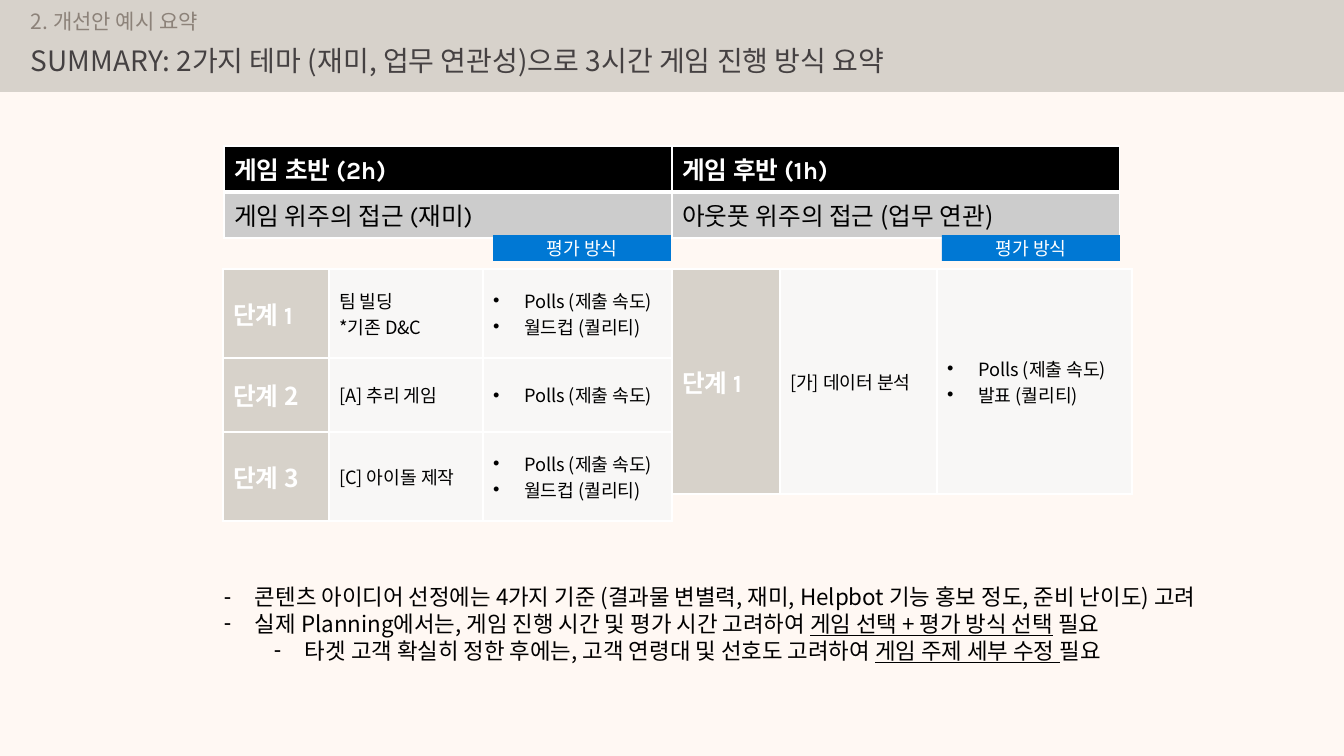
from lxml.etree import SubElement
from pptx import Presentation
from pptx.dml.color import RGBColor as Rgb
from pptx.enum.shapes import MSO_SHAPE as Shape
from pptx.enum.text import MSO_ANCHOR as Anchor, PP_ALIGN as Align
from pptx.oxml.ns import qn
from pptx.util import Pt

PX = 12192000 / 1344
KOREAN, LATIN = "Noto Sans CJK KR", "Karla"
COLORS = {
    "page": "FFF8F3", "band": "D7D2CB", "title": "454142", "section": "8C8279",
    "black": "000000", "white": "FFFFFF", "phase": "CCCCCC",
    "step": "D7D2CA", "cell": "F8F7F6", "tag": "0078D4",
}
IN_LATIN = {"name": LATIN}
UNDERLINED = {"underline": True}
SPEED = "Polls (제출 속도)"
WORLD_CUP = "월드컵 (퀄리티)"


def px(length):
    return round(length * PX)


def rgb(name):
    return Rgb.from_string(COLORS[name])


def paint(target, color):
    target.fill.solid()
    target.fill.fore_color.rgb = rgb(color)


def write(para, content, size, color, bold=False):
    """Content is plain text, or a list of (text, font settings)."""
    if isinstance(content, str):
        para.text = content
        settings = [{}] * len(para.runs)
    else:
        for text, _ in content:
            para.add_run().text = text
        settings = [setting for _, setting in content]
    for span, setting in zip(para.runs, settings):
        font = span.font
        font.size, font.bold = Pt(size), bold
        font.color.rgb = rgb(color)
        font.name = setting.get("name", KOREAN)
        font.underline = setting.get("underline")
        # No kerning; Hangul takes its font from the East Asian slot
        properties = span._r.get_or_add_rPr()
        properties.set("kern", "0")
        east_asian = SubElement(properties, qn("a:ea"), typeface=KOREAN)
        properties.find(qn("a:latin")).addnext(east_asian)


def add_bullet(para, mark, left=31):
    properties = para._p.get_or_add_pPr()
    properties.set("marL", str(px(left)))
    properties.set("indent", str(-px(31)))
    SubElement(properties, qn("a:buFont"), typeface="Arial")
    SubElement(properties, qn("a:buChar"), char=mark)


def add_paragraph(frame, index):
    return frame.add_paragraph() if index else frame.paragraphs[0]


def add_text_box(page, left, top, width, height):
    frame = page.shapes.add_textbox(px(left), px(top), px(width), px(height)).text_frame
    frame.word_wrap = True
    frame.margin_left = frame.margin_top = frame.margin_right = frame.margin_bottom = 0
    return frame


def add_block(page, left, top, width, height, color):
    block = page.shapes.add_shape(Shape.RECTANGLE, px(left), px(top), px(width), px(height))
    block.shadow.inherit = False
    block.line.fill.background()
    paint(block, color)
    return block


def add_grid(page, left, top, widths, heights):
    frame = page.shapes.add_table(len(heights), len(widths), px(left), px(top),
                                  px(sum(widths)), px(sum(heights)))
    table = frame.table
    table.first_row = table.horz_banding = False
    for column, width in zip(table.columns, widths):
        column.width = px(width)
    for row, height in zip(table.rows, heights):
        row.height = px(height)
    return table


def style_cell(cell, color, bottom=1):
    properties = cell._tc.get_or_add_tcPr()
    for side, weight in (("L", 1), ("R", 1), ("T", 1), ("B", bottom)):
        line = SubElement(properties, qn(f"a:ln{side}"), w=str(Pt(weight)))
        fill = SubElement(line, qn("a:solidFill"))
        SubElement(fill, qn("a:srgbClr"), val=COLORS["white"])
    paint(cell, color)


def add_header(page, left, top, width, height):
    add_block(page, left, top, width, height, "band")
    lines = (
        (9, 25, "2. 개선안 예시 요약", 15, "section"),
        (43, 34, "SUMMARY: 2가지 테마 (재미, 업무 연관성)으로 3시간 게임 진행 방식 요약", 20, "title"),
    )
    for offset, line_height, text, size, color in lines:
        frame = add_text_box(page, left + 31, top + offset, width - 31, line_height)
        write(frame.paragraphs[0], text, size, color)


def add_phases(page, left, top, width, height):
    rows = (
        ("black", "white", True, 3, (
            [("게임 초반 ", {}), ("(2h)", IN_LATIN)],
            [("게임 후반 ", {}), ("(1h)", IN_LATIN)])),
        ("phase", "black", False, 1, (
            [("게임 위주의 접근 ", {}), ("(재미)", IN_LATIN)],
            "아웃풋 위주의 접근 (업무 연관)")),
    )
    table = add_grid(page, left, top, [width // 2] * 2, [height // 2] * 2)
    for row, (fill, color, bold, bottom, texts) in enumerate(rows):
        for column, content in enumerate(texts):
            cell = table.cell(row, column)
            style_cell(cell, fill, bottom)
            write(cell.text_frame.paragraphs[0], content, 17.6, color, bold)


def add_steps(page, left, top, widths, heights, steps):
    table = add_grid(page, left, top, widths, heights)
    for row, (step, activity, criteria) in enumerate(steps):
        cells = [table.cell(row, column) for column in range(3)]
        for cell, fill in zip(cells, ("step", "cell", "cell")):
            cell.vertical_anchor = Anchor.MIDDLE
            style_cell(cell, fill)
        write(cells[0].text_frame.paragraphs[0], step, 17.6, "white", True)
        write(cells[1].text_frame.paragraphs[0], activity, 13, "black")
        for index, criterion in enumerate(criteria):
            para = add_paragraph(cells[2].text_frame, index)
            add_bullet(para, "•")
            write(para, criterion, 13, "black")


def add_tag(page, left, top, width, height):
    frame = add_block(page, left, top, width, height, "tag").text_frame
    frame.margin_left = frame.margin_right = px(20)
    frame.margin_top = frame.margin_bottom = px(16)
    frame.vertical_anchor = Anchor.MIDDLE
    para = frame.paragraphs[0]
    para.alignment = Align.CENTER
    write(para, "평가 방식", 13, "white")


def add_notes(page, left, top, width, height):
    notes = (
        (0, "콘텐츠 아이디어 선정에는 4가지 기준 (결과물 변별력, 재미, Helpbot 기능 홍보 정도, 준비 난이도) 고려"),
        (0, [("실제 Planning에서는, 게임 진행 시간 및 평가 시간 고려하여 ", {}),
             ("게임 선택 + 평가 방식 선택", UNDERLINED), (" 필요", {})]),
        (1, [("타겟 고객 확실히 정한 후에는, 고객 연령대 및 선호도 고려하여 ", {}),
             ("게임 주제 세부 수정 ", UNDERLINED), ("필요", {})]),
    )
    frame = add_text_box(page, left, top, width, height)
    for index, (level, content) in enumerate(notes):
        para = add_paragraph(frame, index)
        para.level = level
        add_bullet(para, "-", 31 + 50 * level)
        write(para, content, 16, "black")


def main():
    deck = Presentation()
    deck.slide_width, deck.slide_height = px(1344), px(756)
    page = deck.slides.add_slide(deck.slide_layouts[6])
    paint(page.background, "page")

    add_header(page, 0, 0, 1344, 92)
    add_phases(page, 224, 146, 896, 92)

    # Steps of the early and the late game
    first_step = [("단계 ", {}), ("1", IN_LATIN)]
    add_steps(page, 223, 269, (106, 154, 189), (89, 74, 89), (
        (first_step, "팀 빌딩\v*기존 D&C", (SPEED, WORLD_CUP)),
        ("단계 2", "[A] 추리 게임", (SPEED,)),
        ("단계 3", "[C] 아이돌 제작", (SPEED, WORLD_CUP)),
    ))
    add_steps(page, 672, 269, (108, 157, 195), (225,), (
        (first_step, "[가] 데이터 분석", (SPEED, "발표 (퀄리티)")),
    ))
    for left in (493, 942):
        add_tag(page, left, 235, 178, 26)

    add_notes(page, 224, 583, 987, 109)
    deck.save("out.pptx")


if __name__ == "__main__":
    main()
